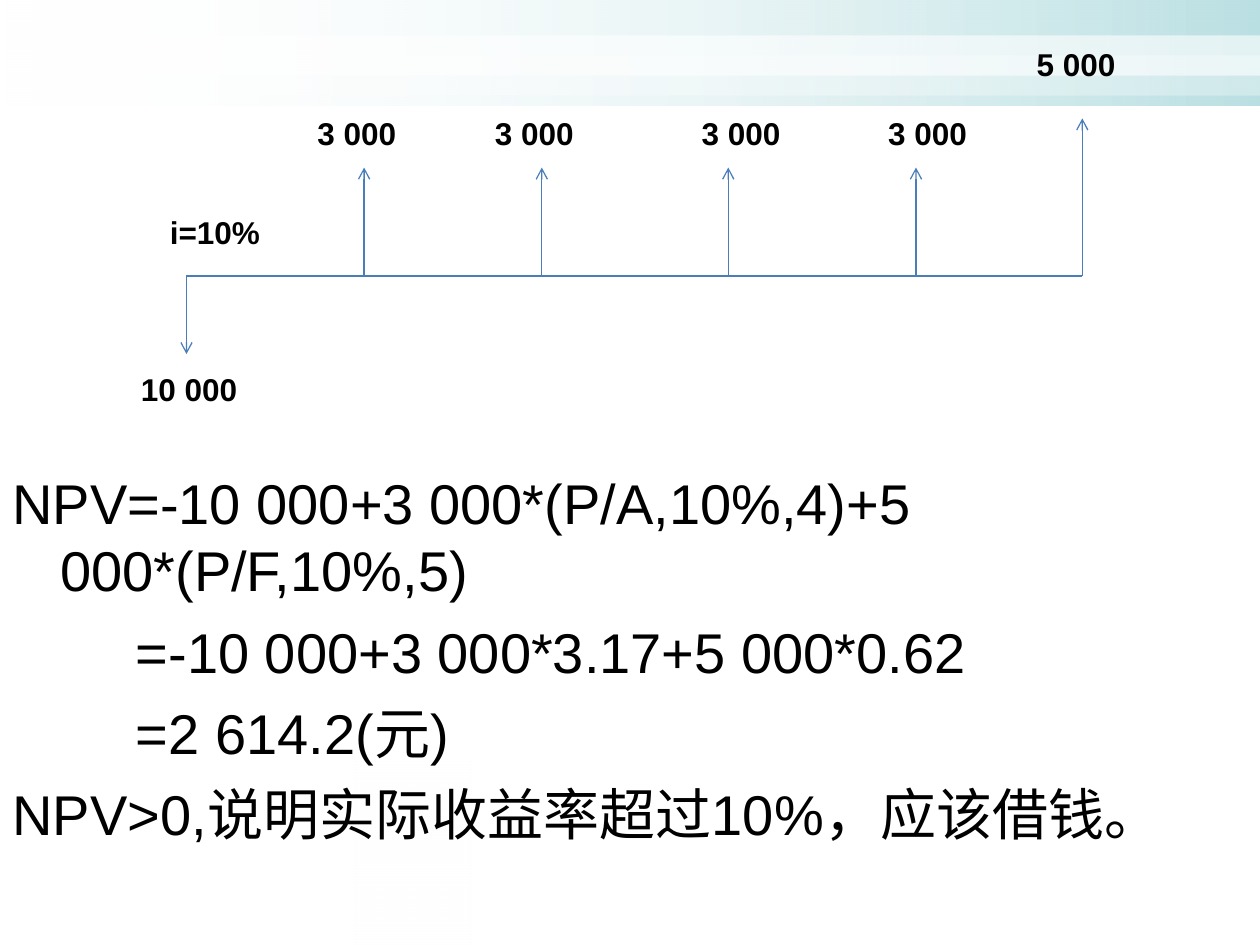
"""Build a cash flow timeline slide with its net present value calculation."""
from lxml import etree
from pptx import Presentation, util as u
from pptx.dml.color import RGBColor
from pptx.enum import shapes, text
from pptx.oxml.ns import qn

BLACK, WHITE, TEAL, BLUE = "000000", "FFFFFF", "BBE0E3", "4A7EBB"
AXIS_Y = 2.19
FADES = [(2.8, 6.03, 0.94, 1.47, WHITE), (0, 0, 10, 0.84, TEAL)]
BANDS = [(0, 0.28, 10, 0.32, 60), (0, 0.44, 10, 0.32, 31)]
FLOWS = [
    # x, arrow tip, label, label left, label top
    (1.48, 2.81, "10 000", 1.02, 2.89),
    (2.89, 1.33, "3 000", 2.42, 0.86),
    (4.30, 1.33, "3 000", 3.83, 0.86),
    (5.78, 1.33, "3 000", 5.47, 0.86),
    (7.27, 1.33, "3 000", 6.95, 0.86),
    (8.59, 0.94, "5 000", 8.13, 0.31),
]
RATE = ("i=10%", 1.25, 1.64)
CALCULATION = [
    ("NPV=-10 000+3 000*(P/A,10%,4)+5 000*(P/F,10%,5)", 0.38, -0.38),
    ("=-10 000+3 000*3.17+5 000*0.62", 0.98, 0),
    ("=2 614.2(元)", 0.98, 0),
    ("NPV>0,说明实际收益率超过10%，应该借钱。", 0.38, -0.38),
]


def color(value):
    return RGBColor.from_string(value)


def add_rectangle(slide, *place):
    shape = slide.shapes.add_shape(
        shapes.MSO_SHAPE.RECTANGLE, *(u.Inches(value) for value in place))
    shape.shadow.inherit = False
    shape.line.fill.background()
    return shape


def set_opacity(shape, percent):
    value = shape._element.spPr.find(".//" + qn("a:srgbClr"))
    etree.SubElement(value, qn("a:alpha"), val=str(percent * 1000))


def add_fade(slide, left, top, width, height, end):
    shape = add_rectangle(slide, left, top, width, height)
    shape.fill.gradient()
    shape.fill.gradient_angle = 0
    for stop, value, position in zip(shape.fill.gradient_stops, (WHITE, end), (0, 1)):
        stop.color.rgb = color(value)
        stop.position = position
    set_opacity(shape, 0)


def add_band(slide, left, top, width, height, opacity):
    shape = add_rectangle(slide, left, top, width, height)
    shape.fill.solid()
    shape.fill.fore_color.rgb = color(WHITE)
    set_opacity(shape, opacity)


def add_line(slide, start, end, arrow=False):
    line = slide.shapes.add_connector(
        shapes.MSO_CONNECTOR.STRAIGHT, *(u.Inches(value) for value in start + end))
    line.line.color.rgb = color(BLUE)
    line.line.width = u.Pt(0.75)
    if arrow:
        etree.SubElement(line.line._get_or_add_ln(), qn("a:tailEnd"), type="arrow")
    etree.SubElement(line._element.spPr, qn("a:effectLst"))


def add_text(slide, paragraphs, left, top, width, height, size=18, bold=False, space_before=0):
    box = slide.shapes.add_textbox(*(u.Inches(value) for value in (left, top, width, height)))
    frame = box.text_frame
    frame.word_wrap = True
    frame.auto_size = text.MSO_AUTO_SIZE.NONE
    for index, (words, margin, indent) in enumerate(paragraphs):
        paragraph = frame.add_paragraph() if index else frame.paragraphs[0]
        paragraph.text = words
        properties = paragraph._p.get_or_add_pPr()
        properties.set("marL", str(u.Inches(margin)))
        properties.set("indent", str(u.Inches(indent)))
        if index:
            paragraph.space_before = u.Pt(space_before)
        font = paragraph.runs[0].font
        font.name, font.size, font.bold = "Arial", u.Pt(size), bold
        font.color.rgb = color(BLACK)


def add_label(slide, words, left, top):
    add_text(slide, [(words, 0, 0)], left, top, 1.17, 0.4, bold=True)


def main():
    presentation = Presentation()
    presentation.slide_width, presentation.slide_height = u.Inches(10), u.Inches(7.5)
    slide = presentation.slides.add_slide(presentation.slide_layouts[6])
    for fade in FADES:
        add_fade(slide, *fade)
    for band in BANDS:
        add_band(slide, *band)
    add_text(slide, CALCULATION, 0, 3.67, 10, 3.51, size=32, space_before=8)
    add_line(slide, (FLOWS[0][0], AXIS_Y), (FLOWS[-1][0], AXIS_Y))
    for x, tip, words, left, top in FLOWS:
        add_line(slide, (x, AXIS_Y), (x, tip), arrow=True)
        add_label(slide, words, left, top)
    add_label(slide, *RATE)
    presentation.save("out.pptx")


if __name__ == "__main__":
    main()
